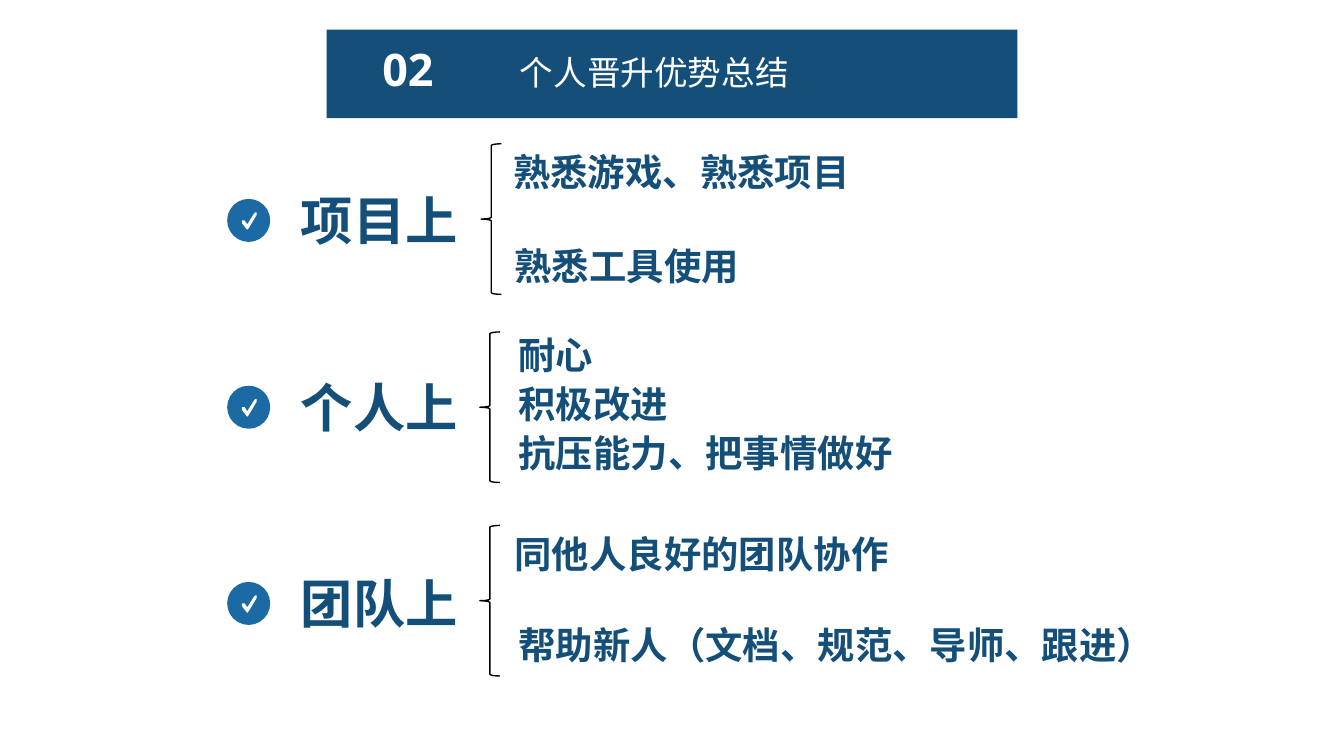
from lxml.etree import SubElement
from pptx import Presentation
from pptx.dml.color import RGBColor
from pptx.enum.shapes import MSO_SHAPE
from pptx.enum.text import MSO_AUTO_SIZE, PP_ALIGN
from pptx.oxml.ns import qn
from pptx.util import Inches, Pt

NAVY, BLUE, WHITE, BLACK = "144F7A", "1B6AA3", "FFFFFF", "000000"
CHINESE_FONT = "Noto Sans CJK SC"


def paint(shape, color):
    shape.shadow.inherit = False
    shape.fill.solid()
    shape.fill.fore_color.rgb = RGBColor.from_string(color)
    shape.line.fill.background()


def add_text(shapes, text, left, top, width, height, size, font, color=NAVY, bold=True, wrap=False):
    box = shapes.add_textbox(Inches(left), Inches(top), Inches(width), Inches(height))
    frame = box.text_frame
    frame.word_wrap = wrap
    frame.auto_size = MSO_AUTO_SIZE.SHAPE_TO_FIT_TEXT
    run = frame.paragraphs[0].add_run()
    run.text = text
    run.font.size = Pt(size)
    run.font.bold = bold
    run.font.name = font
    run.font.color.rgb = RGBColor.from_string(color)
    # Typeface for the Chinese characters
    SubElement(run.font._element, qn("a:ea")).set("typeface", CHINESE_FONT)
    return frame.paragraphs[0]


# Widescreen 16:9 slide
prs = Presentation()
prs.slide_width = Inches(10)
prs.slide_height = Inches(10 * 9 / 16)
slide = prs.slides.add_slide(prs.slide_layouts[6])

# Title banner
banner = slide.shapes.add_group_shape().shapes
paint(banner.add_shape(MSO_SHAPE.RECTANGLE, Inches(2.43), Inches(0.22), Inches(5.14), Inches(0.66)), NAVY)
number = add_text(banner, "02", 2.42, 0.26, 1.23, 0.5, 24, "Open Sans", WHITE, wrap=True)
number.alignment = PP_ALIGN.CENTER
add_text(slide.shapes, "个人晋升优势总结", 3.77, 0.34, 2.46, 0.4, 18, CHINESE_FONT, WHITE,
         bold=False, wrap=True)

# Tick outline, measured from the corner of its disc
TICK = [(0.15, 0.23), (0.14, 0.22), (0.11, 0.18), (0.11, 0.16), (0.13, 0.16),
        (0.15, 0.19), (0.20, 0.11), (0.21, 0.10), (0.22, 0.10), (0.22, 0.12),
        (0.16, 0.22)]

# Heading, heading top, brace left, brace top, points as (text, left, top, width)
sections = [
    ("项目上", 1.35, 3.58, 1.07, [("熟悉游戏、熟悉项目", 3.72, 1.06, 2.74),
                               ("熟悉工具使用", 3.73, 1.76, 1.9)]),
    ("个人上", 2.74, 3.57, 2.47, [("耐心", 3.76, 2.42, 0.77),
                               ("积极改进", 3.76, 2.79, 1.33),
                               ("抗压能力、把事情做好", 3.76, 3.15, 3.02)]),
    ("团队上", 4.2, 3.57, 3.91, [("同他人良好的团队协作", 3.73, 3.9, 3.02),
                              ("帮助新人（文档、规范、导师、跟进）", 3.76, 4.58, 5)]),
]

for heading, top, brace_left, brace_top, points in sections:
    # Heading with its ticked disc
    marker = slide.shapes.add_group_shape().shapes
    add_text(marker, heading, 2.14, top, 1.38, 0.57, 28, "Open Sans")
    disc_left, disc_top = 1.69, top + 0.13
    paint(marker.add_shape(MSO_SHAPE.OVAL, Inches(disc_left), Inches(disc_top),
                           Inches(0.32), Inches(0.32)), BLUE)
    corners = [(Inches(disc_left + x), Inches(disc_top + y)) for x, y in TICK]
    outline = marker.build_freeform(*corners[0])
    outline.add_line_segments(corners[1:], close=True)
    paint(outline.convert_to_shape(), WHITE)

    # Brace
    brace = slide.shapes.add_shape(MSO_SHAPE.LEFT_BRACE, Inches(brace_left), Inches(brace_top),
                                   Inches(0.15), Inches(1.12))
    brace.shadow.inherit = False
    brace.fill.background()
    brace.line.color.rgb = RGBColor.from_string(BLACK)
    brace.line.width = Pt(0.75)

    # Points
    for text, left, point_top, width in points:
        add_text(slide.shapes, text, left, point_top, width, 0.44, 20, "Calibri")

prs.save("out.pptx")
